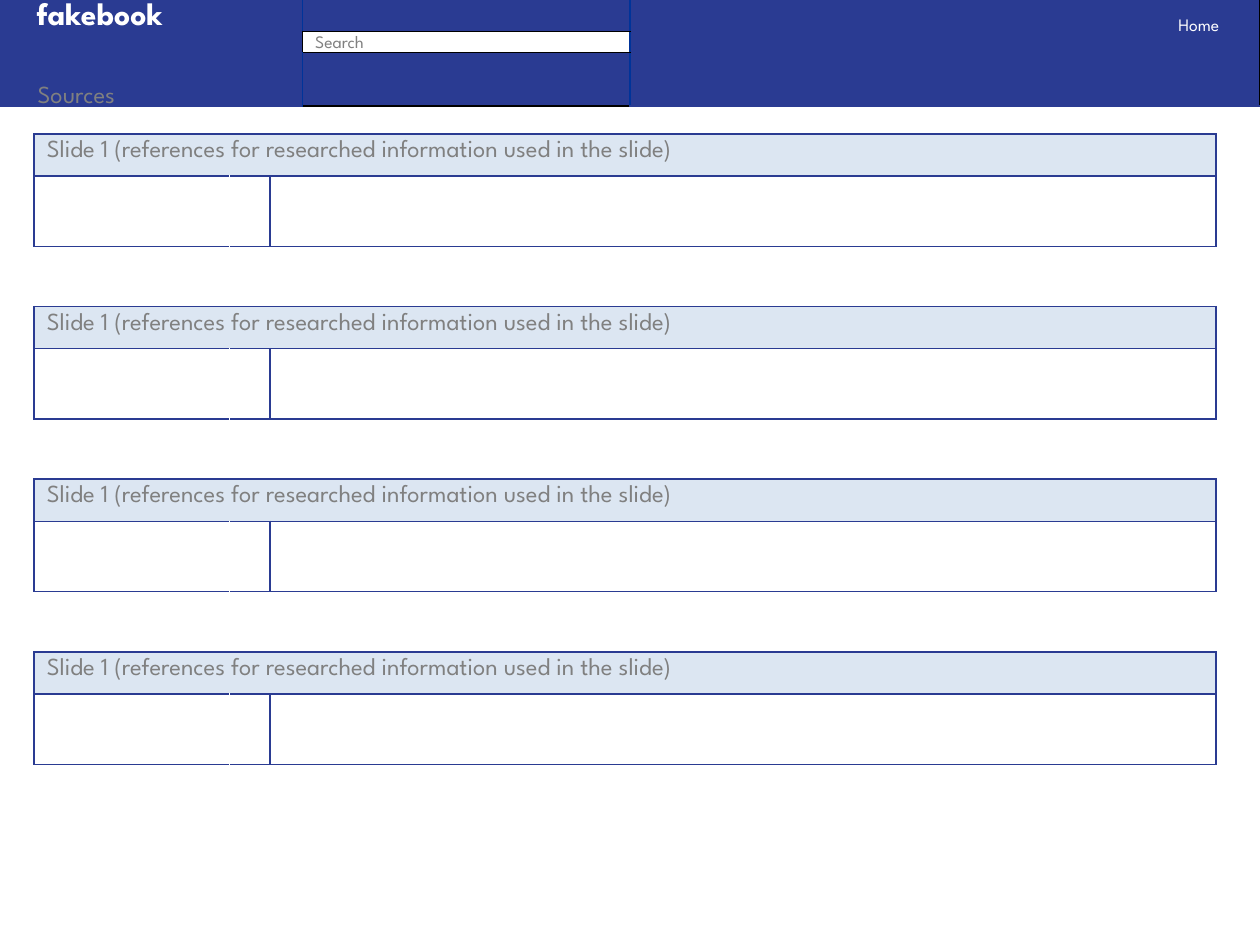
"""Build the sources page of a social-network style deck."""
from dataclasses import dataclass

from lxml import etree
from pptx import Presentation
from pptx.dml.color import RGBColor
from pptx.oxml.ns import qn
from pptx.util import Cm, Pt

FONT = "League Spartan"
NAVY, BLUE, PALE = "2A3B92", "003399", "DCE6F2"
GREY, WHITE, BLACK = "808080", "FFFFFF", "000000"
SIDES = ("lnL", "lnR", "lnT", "lnB")
SOURCE_TITLE = "Slide 1 (references for researched information used in the slide)"
SOURCE_COUNT = 4
SOURCE_TOP, SOURCE_PITCH = 2.7, 3.48


@dataclass(frozen=True)
class Grid:
    """Position, column widths and row heights of a table, in centimetres."""

    left: float
    top: float
    columns: tuple[float, ...]
    rows: tuple[float, ...]


def colour(value: str) -> RGBColor:
    """Turn a hex string into a colour."""
    return RGBColor.from_string(value)


def write(frame, text: str, *, size: float, ink: str, bold: bool = False) -> None:
    """Write one formatted span into a text frame."""
    span = frame.paragraphs[0].add_run()
    span.text = text
    span.font.name = FONT
    span.font.size = Pt(size)
    span.font.bold = bold
    span.font.color.rgb = colour(ink)


def add_grid(page, grid: Grid):
    """Add a plain table with the given measures."""
    table = page.shapes.add_table(
        len(grid.rows), len(grid.columns), Cm(grid.left), Cm(grid.top),
        Cm(sum(grid.columns)), Cm(sum(grid.rows)),
    ).table
    table.first_row = table.horz_banding = False
    for column, width in zip(table.columns, grid.columns):
        column.width = Cm(width)
    for row, height in zip(table.rows, grid.rows):
        row.height = Cm(height)
    return table


def style_cell(cell, borders: tuple[str, ...], fill: str | None = None) -> None:
    """Set left, right, top and bottom borders, the fill and the empty text size."""
    properties = cell._tc.get_or_add_tcPr()
    for side, ink in zip(SIDES, borders):
        line = etree.SubElement(properties, qn(f"a:{side}"), w=str(Pt(1)))
        solid = etree.SubElement(line, qn("a:solidFill"))
        etree.SubElement(solid, qn("a:srgbClr"), val=ink)
    if fill:
        cell.fill.solid()
        cell.fill.fore_color.rgb = colour(fill)
    else:
        cell.fill.background()
    paragraph = cell.text_frame.paragraphs[0]
    etree.SubElement(paragraph._p, qn("a:endParaRPr"), sz="1000")


def add_header(page) -> None:
    """Draw the navy bar with site name, search field and home label."""
    table = add_grid(page, Grid(0, -0.05, (6.1, 6.6, 10.8, 1.9), (0.68, 0.42, 1.08)))
    edges = (NAVY, BLUE, BLUE, NAVY, BLACK)
    for row in range(3):
        for column in range(4):
            search_column = column == 1
            sides = [
                BLACK if row == 1 and edge in (1, 2) else edges[edge]
                for edge in (column, column + 1)
            ]
            top = BLACK if row == 0 or search_column else NAVY
            bottom = BLACK if row == 2 or search_column else NAVY
            fill = WHITE if row == 1 and search_column else NAVY
            style_cell(table.cell(row, column), (*sides, top, bottom), fill)
    for column in (0, 2, 3):
        table.cell(0, column).merge(table.cell(2, column))
    name, search, home = table.cell(0, 0), table.cell(1, 1), table.cell(0, 3)
    name.margin_left = Cm(0.74)
    search.margin_top, search.margin_bottom = Cm(0.1), Cm(0)
    home.margin_top = Cm(0.43)
    write(name.text_frame, "fakebook", size=18, ink=WHITE, bold=True)
    write(search.text_frame, "Search", size=10, ink=GREY)
    write(home.text_frame, "Home", size=10, ink=WHITE)


def add_page_title(page) -> None:
    """Place the page title at the foot of the header bar."""
    box = page.shapes.add_textbox(Cm(0.51), Cm(1.47), Cm(5), Cm(0.86))
    box.text_frame.word_wrap = True
    write(box.text_frame, "Sources", size=14, ink=GREY)


def add_source(page, top: float) -> None:
    """Draw one source table with its title row and empty entry row."""
    table = add_grid(page, Grid(0.69, top, (3.94, 0.81, 19.07), (0.84, 1.42)))
    edges = (NAVY, WHITE, NAVY, NAVY)
    for column in range(3):
        style_cell(table.cell(0, column), (NAVY,) * 4, PALE)
        sides = edges[column:column + 2]
        style_cell(table.cell(1, column), (*sides, NAVY, NAVY))
    title = table.cell(0, 0)
    title.merge(table.cell(0, 2))
    write(title.text_frame, SOURCE_TITLE, size=14, ink=GREY)


def main() -> None:
    """Build and save the deck."""
    deck = Presentation()
    deck.slide_width, deck.slide_height = Cm(25.4), Cm(19.05)
    page = deck.slides.add_slide(deck.slide_layouts[6])
    add_header(page)
    add_page_title(page)
    for index in range(SOURCE_COUNT):
        add_source(page, SOURCE_TOP + index * SOURCE_PITCH)
    deck.save("out.pptx")


if __name__ == "__main__":
    main()
